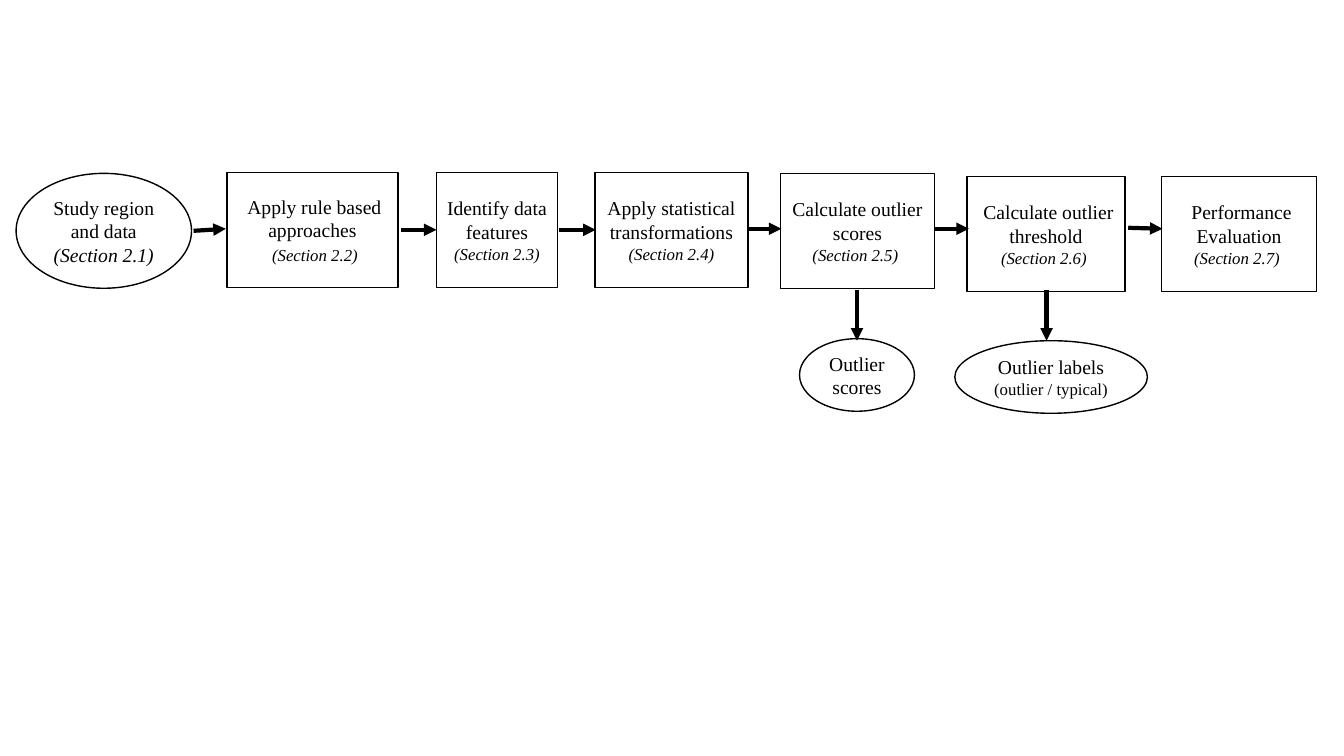
"""Build a flowchart slide of the outlier detection workflow."""
from lxml.etree import SubElement
from pptx import Presentation
from pptx.dml.color import RGBColor
from pptx.enum.shapes import MSO_CONNECTOR, MSO_SHAPE
from pptx.enum.text import MSO_ANCHOR, PP_ALIGN
from pptx.oxml.ns import qn
from pptx.util import Inches, Pt

THEME = {
    "font": "Times New Roman",
    "ink": RGBColor(0, 0, 0),
    "outline": Pt(1),
    "arrow": Pt(3),
    "styles": {
        "label": (Pt(14), False),
        "label italic": (Pt(14), True),
        "note": (Pt(12), False),
        "section": (Pt(12), True),
    },
}

STEP_HEIGHT, RESULT_HEIGHT = 1.14, 0.72

STEPS = [
    (2.25, 1.71, 1.7, [[(" Apply rule based approaches", "label")],
                       [(" ", "label"), ("(Section 2.2)", "section")]]),
    (4.33, 1.71, 1.2, [[("Identify data features", "label")], [("(Section 2.3)", "section")]]),
    (5.9, 1.71, 1.52, [[("Apply statistical transformations", "label")],
                       [("(Section 2.4)", "section")]]),
    (7.74, 1.72, 1.53, [[("Calculate outlier scores", "label")], [("(Section 2.5) ", "section")]]),
    (9.59, 1.75, 1.57, [[(" Calculate outlier threshold", "label")],
                        [("(Section 2.6) ", "section")]]),
    (11.52, 1.75, 1.54, [[(" Performance Evaluation", "label")], [("(Section 2.7) ", "section")]]),
]

STUDY_DATA = (0.16, 1.72, 1.74, [[("Study region and data", "label")],
                                 [("(Section 2.1)", "label italic")]])

RESULTS = [
    (7.93, 3.36, 1.14, [[("Outlier scores", "label")]]),
    (9.47, 3.38, 1.91, [[("Outlier labels ", "label"), ("(outlier / typical)", "note")]]),
]

STEP_ARROWS = [
    (1.92, 2.29, 2.24, 2.27),
    (3.98, 2.28, 4.33, 2.28),
    (5.54, 2.28, 5.91, 2.28),
    (7.42, 2.27, 7.75, 2.27),
    (9.27, 2.27, 9.61, 2.27),
    (11.19, 2.26, 11.53, 2.27),
]

RESULT_ARROWS = [(center, 2.88, center, 3.38) for center in (8.5, 10.38)]


def add_node(slide, kind, node, height):
    left, top, width, paragraphs = node
    shape = slide.shapes.add_shape(
        kind, Inches(left), Inches(top), Inches(width), Inches(height))
    shape.shadow.inherit = False
    shape.fill.background()
    shape.line.color.rgb = THEME["ink"]
    shape.line.width = THEME["outline"]
    frame = shape.text_frame
    frame.word_wrap = True
    frame.vertical_anchor = MSO_ANCHOR.MIDDLE
    for index, runs in enumerate(paragraphs):
        paragraph = frame.add_paragraph() if index else frame.paragraphs[0]
        paragraph.alignment = PP_ALIGN.CENTER
        for text, style in runs:
            run = paragraph.add_run()
            run.text = text
            run.font.name = THEME["font"]
            run.font.size, run.font.italic = THEME["styles"][style]
            run.font.color.rgb = THEME["ink"]


def add_arrow(slide, ends):
    arrow = slide.shapes.add_connector(
        MSO_CONNECTOR.STRAIGHT, *(Inches(value) for value in ends))
    arrow.line.color.rgb = THEME["ink"]
    arrow.line.width = THEME["arrow"]
    properties = arrow.element.spPr
    SubElement(properties.find(qn("a:ln")), qn("a:tailEnd"), type="triangle")
    SubElement(properties, qn("a:effectLst"))


presentation = Presentation()
presentation.slide_width = Inches(13.33)
presentation.slide_height = Inches(7.5)
slide = presentation.slides.add_slide(presentation.slide_layouts[6])

for step in STEPS:
    add_node(slide, MSO_SHAPE.RECTANGLE, step, STEP_HEIGHT)
add_node(slide, MSO_SHAPE.OVAL, STUDY_DATA, STEP_HEIGHT)
for result in RESULTS:
    add_node(slide, MSO_SHAPE.OVAL, result, RESULT_HEIGHT)
for ends in STEP_ARROWS + RESULT_ARROWS:
    add_arrow(slide, ends)

presentation.save("out.pptx")
